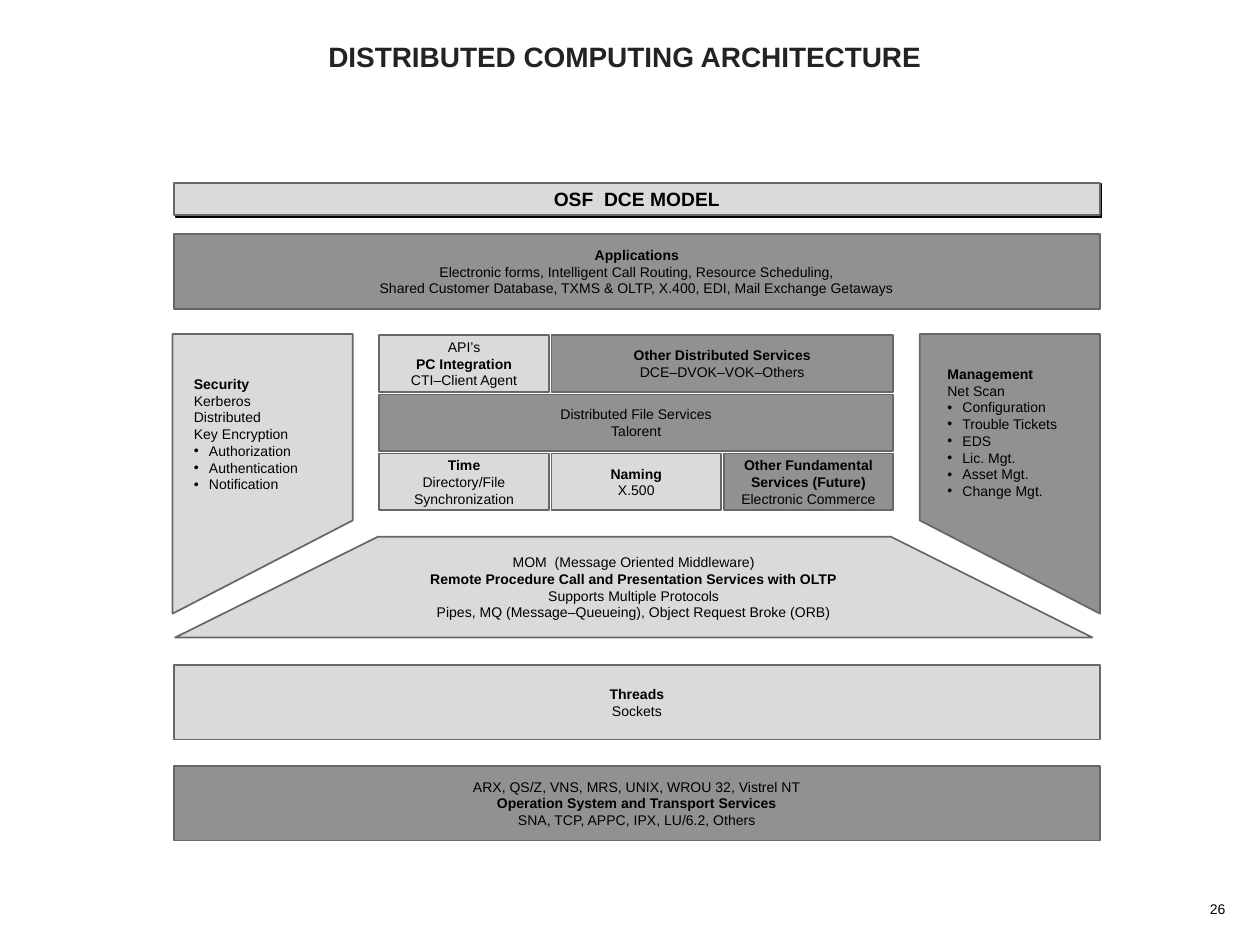
from dataclasses import dataclass

from lxml.etree import SubElement
from pptx import Presentation
from pptx.dml.color import RGBColor
from pptx.enum.shapes import MSO_SHAPE
from pptx.enum.text import MSO_ANCHOR, MSO_AUTO_SIZE, PP_ALIGN
from pptx.oxml.ns import qn
from pptx.util import Inches, Pt

LIGHT, DARK, EDGE = "DADADA", "919191", "676767"
BAND_LEFT, BAND_WIDTH = 1.38, 7.35
GRID_LEFT, GRID_TOP, GRID_WIDTH = 3.01, 2.66, 4.08
CELL_GAP, ROW_PITCH = 0.02, 0.47
COLUMN_PITCH = (GRID_WIDTH + CELL_GAP) / 3
MIRROR_SUM = 10.1  # left and right edges of the two side panels add up to this


@dataclass
class Line:
    text: str
    bold: bool = False
    bullet: bool = False


@dataclass
class Band:
    top: float
    height: float
    fill: str
    lines: list[Line]
    size: float = 8


@dataclass
class Cell:
    row: int
    column: int
    span: int
    fill: str
    lines: list[Line]


def heading(text: str) -> Line:
    return Line(text, bold=True)


def bullets(*texts: str) -> list[Line]:
    return [Line(text, bullet=True) for text in texts]


def color(value: str) -> RGBColor:
    return RGBColor.from_string(value)


def add_bullet(para) -> None:
    props = para._p.get_or_add_pPr()
    bullet_color = SubElement(props, qn("a:buClr"))
    SubElement(bullet_color, qn("a:srgbClr"), val="000000")
    SubElement(props, qn("a:buFont"), typeface="Arial")
    SubElement(props, qn("a:buChar"), char="•")


def write(box, lines: list[Line], size: float = 8, ink: str = "000000",
          align=PP_ALIGN.CENTER, anchor=MSO_ANCHOR.MIDDLE, inset: float = 0.1,
          hanging: float = 0, spacing: float = 1.0) -> None:
    frame = box.text_frame
    frame.word_wrap = True
    frame.auto_size = MSO_AUTO_SIZE.NONE
    frame.vertical_anchor = anchor
    frame.margin_left = frame.margin_right = Inches(inset)
    frame.margin_top = frame.margin_bottom = Inches(0.05)
    for index, line in enumerate(lines):
        para = frame.add_paragraph() if index else frame.paragraphs[0]
        para.alignment = align
        para.line_spacing = spacing
        if hanging:
            props = para._p.get_or_add_pPr()
            props.set("marL", str(Inches(hanging)))
            props.set("indent", str(-Inches(hanging)))
        if line.bullet:
            add_bullet(para)
        span = para.add_run()
        span.text = line.text
        span.font.name = "Arial"
        span.font.size = Pt(size)
        span.font.bold = line.bold
        span.font.color.rgb = color(ink)


def style(shape, fill: str) -> None:
    shape.shadow.inherit = False
    shape.fill.solid()
    shape.fill.fore_color.rgb = color(fill)
    shape.line.color.rgb = color(EDGE)
    shape.line.width = Pt(1)


def add_rectangle(page, left: float, top: float, width: float, height: float,
                  fill: str, lines: list[Line], size: float = 8):
    box = page.shapes.add_shape(MSO_SHAPE.RECTANGLE, Inches(left), Inches(top),
                                Inches(width), Inches(height))
    style(box, fill)
    write(box, lines, size)
    return box


def add_polygon(page, points: list[tuple[float, float]], fill: str):
    corners = [(Inches(x), Inches(y)) for x, y in points]
    builder = page.shapes.build_freeform(*corners[0])
    builder.add_line_segments(corners[1:], close=True)
    shape = builder.convert_to_shape()
    style(shape, fill)
    return shape


def add_label(page, left: float, top: float, width: float, height: float,
              lines: list[Line], **text_format) -> None:
    box = page.shapes.add_textbox(Inches(left), Inches(top), Inches(width), Inches(height))
    write(box, lines, anchor=MSO_ANCHOR.TOP, **text_format)


def add_hard_shadow(shape) -> None:
    effects = shape._element.spPr.find(qn("a:effectLst"))
    shadow = SubElement(effects, qn("a:outerShdw"), dist=str(Pt(1.4)),
                        dir="2700000", algn="ctr", rotWithShape="0")
    SubElement(shadow, qn("a:srgbClr"), val="000000")


HEADER = Band(1.45, 0.26, LIGHT, [heading("OSF  DCE MODEL")], size=11)
BANDS = [
    Band(1.86, 0.59, DARK, [
        heading("Applications"),
        Line("Electronic forms, Intelligent Call Routing, Resource Scheduling,"),
        Line("Shared Customer Database, TXMS & OLTP, X.400, EDI, Mail Exchange Getaways")]),
    Band(5.28, 0.59, LIGHT, [heading("Threads"), Line("Sockets")]),
    Band(6.08, 0.59, DARK, [
        Line("ARX, QS/Z, VNS, MRS, UNIX, WROU 32, Vistrel NT"),
        heading("Operation System and Transport Services"),
        Line("SNA, TCP, APPC, IPX, LU/6.2, Others")]),
]
CELLS = [
    Cell(0, 0, 1, LIGHT, [Line("API’s"), heading("PC Integration"), Line("CTI–Client Agent")]),
    Cell(0, 1, 2, DARK, [heading("Other Distributed Services"), Line("DCE–DVOK–VOK–Others")]),
    Cell(1, 0, 3, DARK, [Line("Distributed File Services"), Line("Talorent")]),
    Cell(2, 0, 1, LIGHT, [heading("Time"), Line("Directory/File"), Line("Synchronization")]),
    Cell(2, 1, 1, LIGHT, [heading("Naming"), Line("X.500")]),
    Cell(2, 2, 1, DARK, [heading("Other Fundamental Services (Future)"),
                         Line("Electronic Commerce")]),
]
SECURITY = [heading("Security"), Line("Kerberos"), Line("Distributed"), Line("Key Encryption"),
            *bullets("Authorization", "Authentication", "Notification")]
MANAGEMENT = [heading("Management"), Line("Net Scan"),
              *bullets("Configuration", "Trouble Tickets", "EDS", "Lic. Mgt.",
                       "Asset Mgt.", "Change Mgt.")]
MIDDLEWARE = [Line("MOM  (Message Oriented Middleware)"),
              heading("Remote Procedure Call and Presentation Services with OLTP"),
              Line("Supports Multiple Protocols"),
              Line("Pipes, MQ (Message–Queueing), Object Request Broke (ORB)")]


def main() -> None:
    deck = Presentation()
    deck.slide_width, deck.slide_height = Inches(10), Inches(7.5)
    page = deck.slides.add_slide(deck.slide_layouts[5])

    # Title
    title = page.shapes.title
    title.left, title.top = Inches(0.25), Inches(0.25)
    title.width, title.height = Inches(9.42), Inches(0.42)
    write(title, [heading("DISTRIBUTED COMPUTING ARCHITECTURE")],
          size=16, ink="232323", spacing=0.9)

    # Full-width bands
    for band in [HEADER, *BANDS]:
        box = add_rectangle(page, BAND_LEFT, band.top, BAND_WIDTH, band.height,
                            band.fill, band.lines, band.size)
        if band is HEADER:
            add_hard_shadow(box)

    # Side panels, mirror images of each other
    left_panel = [(2.8, 2.65), (1.37, 2.65), (1.37, 4.87), (2.8, 4.13)]
    right_panel = [(MIRROR_SUM - x, y) for x, y in left_panel]
    add_polygon(page, left_panel, LIGHT)
    add_polygon(page, right_panel, DARK)
    add_label(page, 1.44, 2.93, 1.18, 1.03, SECURITY, align=PP_ALIGN.LEFT, hanging=0.12)
    add_label(page, 7.42, 2.85, 1.11, 1.16, MANAGEMENT, align=PP_ALIGN.LEFT, hanging=0.12)

    # Grid of services
    for cell in CELLS:
        add_rectangle(page, GRID_LEFT + cell.column * COLUMN_PITCH,
                      GRID_TOP + cell.row * ROW_PITCH,
                      cell.span * COLUMN_PITCH - CELL_GAP, ROW_PITCH - CELL_GAP,
                      cell.fill, cell.lines)

    # Middleware trapezoid
    trapezoid = add_polygon(page, [(1.39, 5.06), (8.67, 5.06), (7.07, 4.26), (3, 4.26)], LIGHT)
    write(trapezoid, MIDDLEWARE)

    # Page number
    add_label(page, 9.5, 7.1, 0.33, 0.23, [Line("26")], inset=0.05)

    deck.save("out.pptx")


if __name__ == "__main__":
    main()
